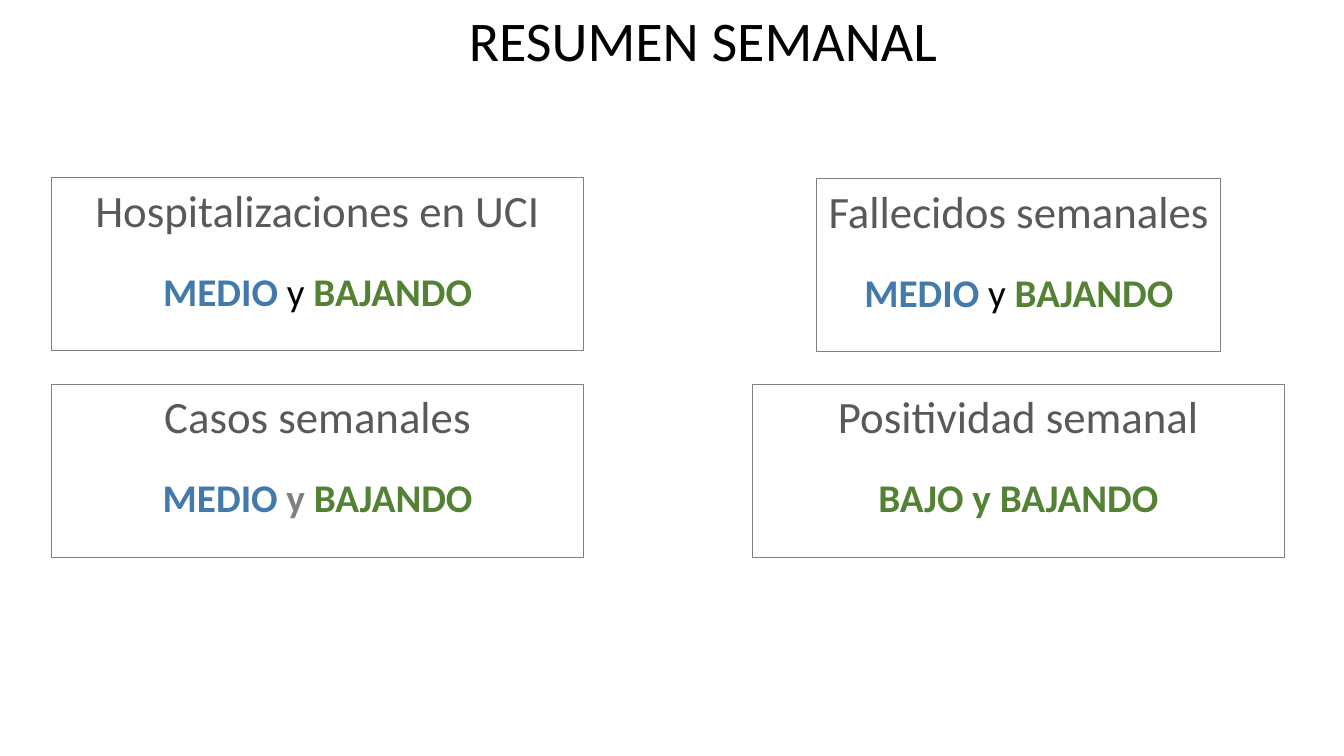
from dataclasses import dataclass

from pptx import Presentation
from pptx import util as u
from pptx.dml.color import RGBColor
from pptx.enum import shapes, text

EMU_PER_PX = 9144  # 100 px to the inch
FONT = "Calibri"
BLACK, GRAY, DARK_GRAY = "000000", "808080", "595959"
BLUE, GREEN = "437AAB", "548235"
BOX_HEIGHT = 172


@dataclass
class Run:
    words: str
    color: str
    bold: bool = True


@dataclass
class Indicator:
    left: int
    top: int
    width: int
    heading: str
    status: list[Run]


def px(length: int) -> u.Emu:
    return u.Emu(length * EMU_PER_PX)


def rgb(color: str) -> RGBColor:
    return RGBColor.from_string(color)


def add_run(paragraph, words: str, *, size: int, color: str, bold: bool = False) -> None:
    run = paragraph.add_run()
    run.text = words
    run.font.name = FONT
    run.font.size = u.Pt(size)
    run.font.bold = bold
    run.font.color.rgb = rgb(color)


def prepare_frame(shape):
    frame = shape.text_frame
    frame.word_wrap = False
    frame.auto_size = text.MSO_AUTO_SIZE.NONE
    frame.vertical_anchor = text.MSO_ANCHOR.TOP
    return frame


def add_title(slide, words: str) -> None:
    title = slide.shapes.title
    title.left, title.top, title.width, title.height = map(px, (455, 0, 489, 77))
    paragraph = prepare_frame(title).paragraphs[0]
    paragraph.alignment = text.PP_ALIGN.LEFT
    add_run(paragraph, words, size=40, color=BLACK)


def add_indicator(slide, indicator: Indicator) -> None:
    box = slide.shapes.add_shape(
        shapes.MSO_SHAPE.RECTANGLE,
        px(indicator.left), px(indicator.top), px(indicator.width), px(BOX_HEIGHT))
    box.shadow.inherit = False
    box.fill.background()
    box.line.color.rgb = rgb(GRAY)
    box.line.width = u.Pt(0.75)

    frame = prepare_frame(box)
    heading, status = frame.paragraphs[0], frame.add_paragraph()
    heading.alignment = status.alignment = text.PP_ALIGN.CENTER
    status.space_before = u.Pt(22)
    add_run(heading, indicator.heading, size=32, color=DARK_GRAY)
    for run in indicator.status:
        add_run(status, run.words, size=28, color=run.color, bold=run.bold)


# Weekly indicators
MEDIUM_FALLING = [Run("MEDIO", BLUE), Run(" y ", BLACK, False), Run("BAJANDO", GREEN)]
INDICATORS = [
    Indicator(51, 176, 528, "Hospitalizaciones en UCI", MEDIUM_FALLING),
    Indicator(810, 177, 401, "Fallecidos semanales", MEDIUM_FALLING),
    Indicator(51, 381, 528, "Casos semanales",
              [Run("MEDIO ", BLUE), Run("y ", GRAY), Run("BAJANDO", GREEN)]),
    Indicator(746, 381, 528, "Positividad semanal", [Run("BAJO y BAJANDO", GREEN)]),
]


def main() -> None:
    presentation = Presentation()
    presentation.slide_width, presentation.slide_height = px(1333), px(750)
    slide = presentation.slides.add_slide(presentation.slide_layouts[5])
    add_title(slide, "RESUMEN SEMANAL")
    for indicator in INDICATORS:
        add_indicator(slide, indicator)
    presentation.save("out.pptx")


if __name__ == "__main__":
    main()
